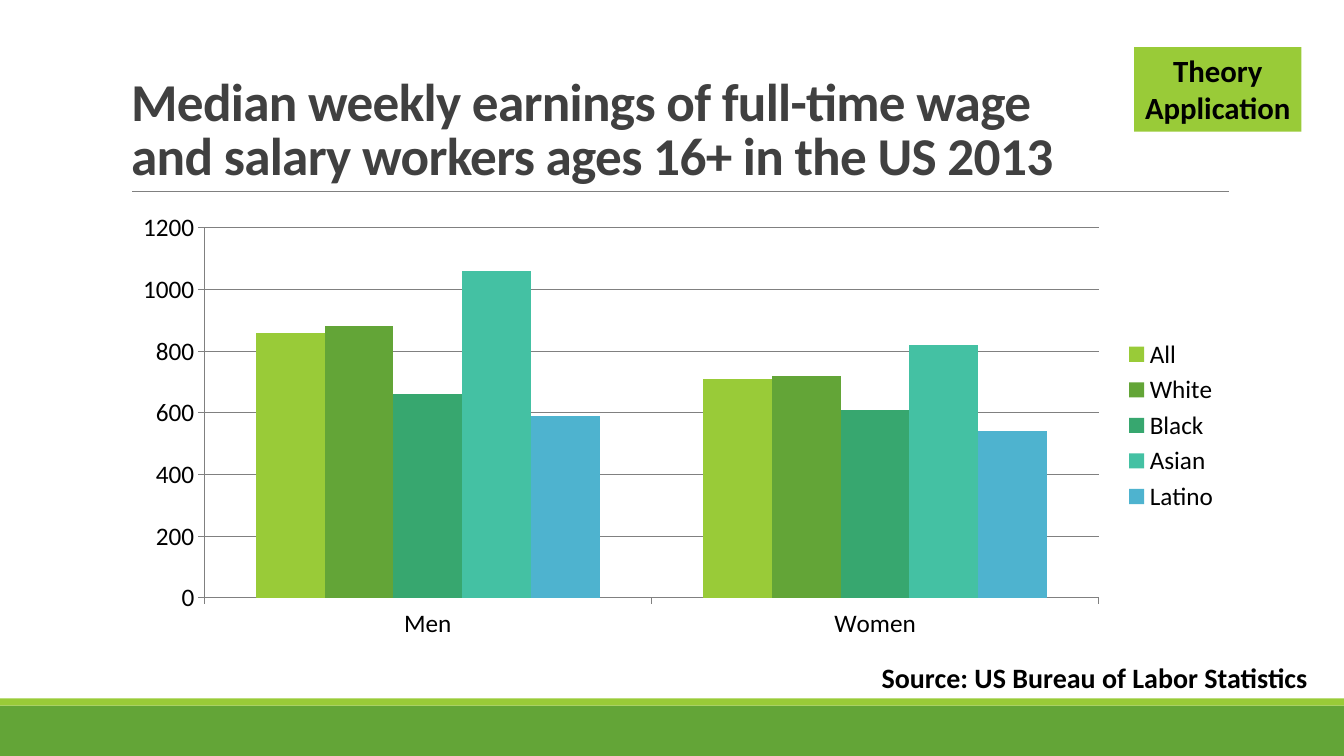
from lxml.etree import SubElement
from pptx import Presentation
from pptx.chart.data import CategoryChartData
from pptx.dml.color import RGBColor
from pptx.enum.chart import XL_CHART_TYPE, XL_LEGEND_POSITION, XL_TICK_MARK
from pptx.enum.shapes import MSO_CONNECTOR, MSO_SHAPE
from pptx.enum.text import MSO_ANCHOR, MSO_AUTO_SIZE, PP_ALIGN
from pptx.oxml.ns import qn
from pptx.util import Cm, Pt

FONT = "Calibri"
LIME = RGBColor(0x99, 0xCB, 0x38)
GREEN = RGBColor(0x63, 0xA5, 0x37)
JADE = RGBColor(0x37, 0xA7, 0x6F)
TEAL = RGBColor(0x44, 0xC1, 0xA3)
BLUE = RGBColor(0x4E, 0xB3, 0xCF)
GRAY = RGBColor(0x80, 0x80, 0x80)
DARK = RGBColor(0x40, 0x40, 0x40)
BLACK = RGBColor(0, 0, 0)

WIDTH, HEIGHT = 33.87, 19.05
EARNINGS = [
    ("All", (860, 710), LIME),
    ("White", (880, 720), GREEN),
    ("Black", (660, 610), JADE),
    ("Asian", (1060, 820), TEAL),
    ("Latino", (590, 540), BLUE),
]


def style_font(font, size, color, bold=False):
    """Apply the slide typeface with a size, colour and weight."""
    font.name, font.size, font.bold = FONT, Pt(size), bold
    font.color.rgb = color


def style_text(tf, size, color, align=PP_ALIGN.LEFT):
    """Format every run of a text frame in bold."""
    for p in tf.paragraphs:
        p.alignment = align
        for r in p.runs:
            style_font(r.font, size, color, True)


def add_block(s, x, y, w, h, color):
    """Draw a plain filled rectangle."""
    sp = s.shapes.add_shape(MSO_SHAPE.RECTANGLE, Cm(x), Cm(y), Cm(w), Cm(h))
    sp.shadow.inherit = False
    sp.fill.solid()
    sp.fill.fore_color.rgb = color
    sp.line.fill.background()
    return sp


def add_footer_band(s, x, y, w, h):
    """Draw the green band with its thin lime strip on top."""
    strip = 0.18
    add_block(s, x, y + strip, w, h - strip, GREEN)
    add_block(s, x, y, w, strip, LIME)


def add_title(s, x, y, w, h):
    """Place the title and the rule beneath it."""
    inset = 0.28
    rule = s.shapes.add_connector(
        MSO_CONNECTOR.STRAIGHT, Cm(x + inset), Cm(y + h), Cm(x + w - 0.02), Cm(y + h))
    rule.line.color.rgb = GRAY
    rule.line.width = Pt(0.5)
    SubElement(rule._element.spPr, qn("a:effectLst"))

    sp = s.shapes.title
    sp.left, sp.top, sp.width, sp.height = Cm(x), Cm(y), Cm(w), Cm(h)
    tf = sp.text_frame
    tf.text = ("Median weekly earnings of full-time wage \v"
               "and salary workers ages 16+ in the US 2013")
    tf.word_wrap = True
    tf.auto_size = MSO_AUTO_SIZE.NONE
    tf.vertical_anchor = MSO_ANCHOR.BOTTOM
    p = tf.paragraphs[0]
    p.line_spacing = 0.85
    p.space_before = Pt(0)
    style_text(tf, 38, DARK)
    for r in p.runs:
        r.font._element.set("spc", "-50")


def add_earnings_chart(s, x, y, w, h):
    """Place the clustered columns of earnings by group and sex."""
    data = CategoryChartData()
    data.categories = ["Men", "Women"]
    for name, values, _ in EARNINGS:
        data.add_series(name, values)
    chart = s.shapes.add_chart(
        XL_CHART_TYPE.COLUMN_CLUSTERED, Cm(x), Cm(y), Cm(w), Cm(h), data).chart
    chart.has_title = False
    style_font(chart.font, 18, BLACK)
    chart.has_legend = True
    chart.legend.position = XL_LEGEND_POSITION.RIGHT
    chart.legend.include_in_layout = False

    plot = chart.plots[0]
    plot.vary_by_categories = False
    plot.gap_width, plot.overlap = 150, 0
    for series, (_, _, color) in zip(plot.series, EARNINGS):
        series.format.fill.solid()
        series.format.fill.fore_color.rgb = color

    axis = chart.value_axis
    axis.minimum_scale, axis.maximum_scale, axis.major_unit = 0, 1200, 200
    axis.has_major_gridlines = True
    for part in (axis, chart.category_axis, axis.major_gridlines):
        part.format.line.color.rgb = GRAY
        part.format.line.width = Pt(0.75)
    for part in (axis, chart.category_axis):
        part.major_tick_mark = XL_TICK_MARK.OUTSIDE
        part.minor_tick_mark = XL_TICK_MARK.NONE


def add_source(s, x, y, w, h):
    """Place the line that names the data source."""
    tf = s.shapes.add_textbox(Cm(x), Cm(y), Cm(w), Cm(h)).text_frame
    tf.text = "Source: US Bureau of Labor Statistics"
    tf.word_wrap = False
    tf.auto_size = MSO_AUTO_SIZE.SHAPE_TO_FIT_TEXT
    style_text(tf, 20, BLACK)


def add_badge(s, x, y, w, h):
    """Place the lime label in the top corner."""
    tf = add_block(s, x, y, w, h, LIME).text_frame
    tf.text = "Theory\nApplication"
    tf.word_wrap = False
    tf.auto_size = MSO_AUTO_SIZE.SHAPE_TO_FIT_TEXT
    tf.vertical_anchor = MSO_ANCHOR.TOP
    style_text(tf, 22, BLACK, PP_ALIGN.CENTER)


def main():
    """Build the slide and save it."""
    prs = Presentation()
    prs.slide_width, prs.slide_height = Cm(WIDTH), Cm(HEIGHT)
    s = prs.slides.add_slide(prs.slide_layouts[5])
    add_footer_band(s, 0, 17.6, WIDTH, HEIGHT - 17.6)
    add_title(s, 3.05, 0.79, 27.94, 4.04)
    add_earnings_chart(s, 3.05, 5.13, 27.94, 11.18)
    add_source(s, 21.97, 16.51, 11.35, 1.12)
    add_badge(s, 28.58, 1.19, 4.22, 2.13)
    prs.save("out.pptx")


if __name__ == "__main__":
    main()
